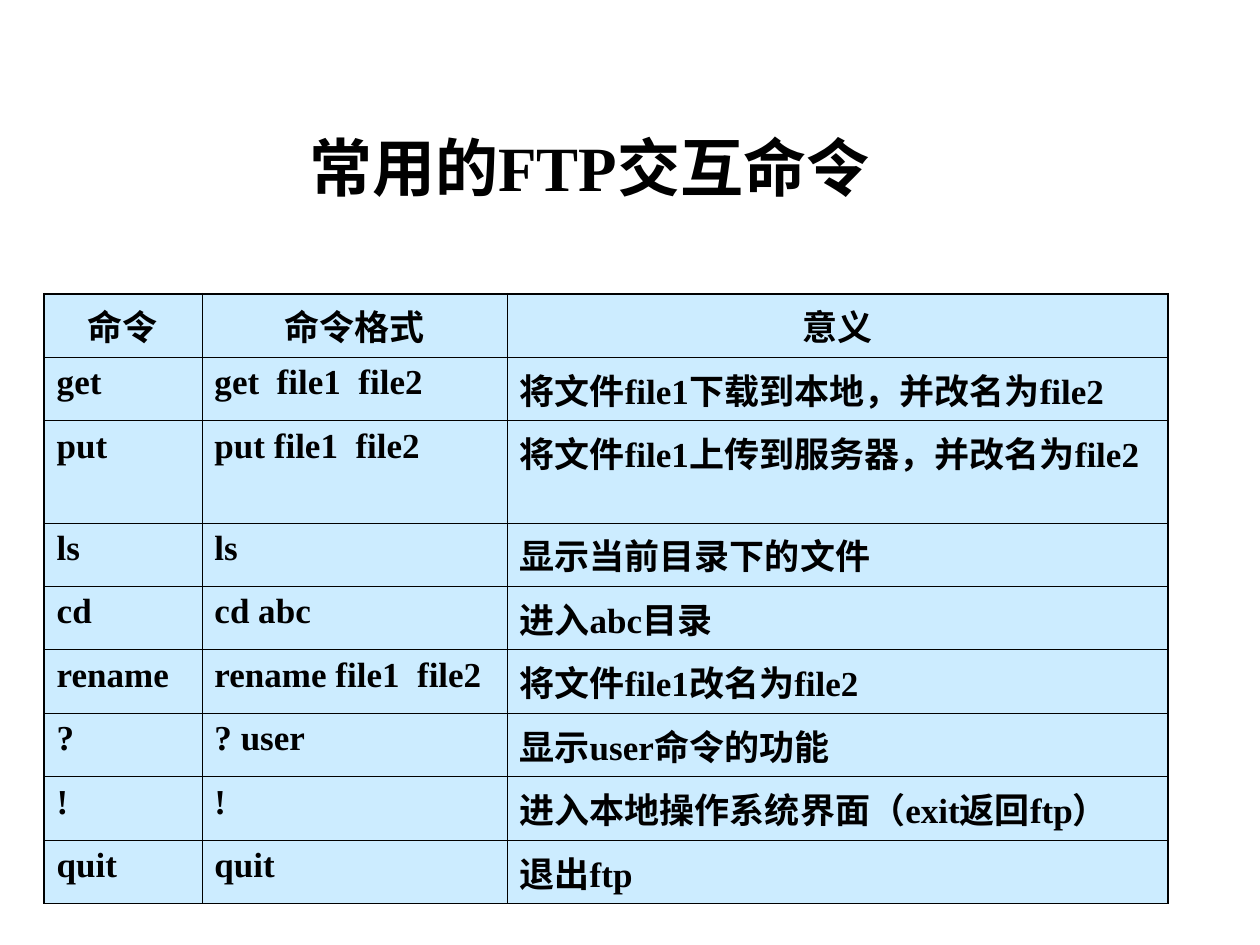
from pptx import Presentation
from pptx.dml.color import RGBColor
from pptx.enum import text
from pptx.oxml import parse_xml
from pptx.oxml.ns import nsdecls
from pptx.util import Cm, Pt

COLORS = {"ink": "000000", "cell": "CCECFF"}
TITLE = "常用的FTP交互命令"
HEADER = ("命令", "命令格式", "意义")
COMMANDS = [
    ("get", "get  file1  file2", "将文件file1下载到本地，并改名为file2"),
    ("put", "put file1  file2", "将文件file1上传到服务器，并改名为file2"),
    ("ls", "ls", "显示当前目录下的文件"),
    ("cd", "cd abc", "进入abc目录"),
    ("rename", "rename file1  file2", "将文件file1改名为file2"),
    ("?", "? user", "显示user命令的功能"),
    ("!", "!", "进入本地操作系统界面（exit返回ftp）"),
    ("quit", "quit", "退出ftp"),
]
COL_WIDTHS = (3.18, 6.15, 13.33)
ROW_HEIGHTS = (1.1, 1.12, 1.96) + (1.12,) * 6
INNER, OUTER = 0.45, 1.08
TITLE_FONT = {"name": "Times New Roman", "size": Pt(36), "bold": True}
HEADER_FONT = {"name": "Arial", "size": Pt(20), "bold": True}
BODY_FONT = {**HEADER_FONT, "name": "Times New Roman"}


def write(tf, words, font, align):
    p = tf.paragraphs[0]
    p.alignment = align
    r = p.add_run()
    r.text = words
    for key, value in font.items():
        setattr(r.font, key, value)
    r.font.color.rgb = RGBColor.from_string(COLORS["ink"])


def add_borders(cell, widths):
    tc_pr = cell._tc.get_or_add_tcPr()
    for i, (side, width) in enumerate(widths.items()):
        tc_pr.insert(i, parse_xml(
            f'<a:ln{side} {nsdecls("a")} w="{Pt(width)}"><a:solidFill>'
            f'<a:srgbClr val="{COLORS["ink"]}"/></a:solidFill></a:ln{side}>'))


def add_title(s):
    sp = s.shapes.title
    box = {"left": Cm(1.09), "top": Cm(2.51), "width": Cm(21.59), "height": Cm(1.7)}
    for key, value in box.items():
        setattr(sp, key, value)
    tf = sp.text_frame
    tf.word_wrap = True
    tf.auto_size = text.MSO_AUTO_SIZE.NONE
    tf.vertical_anchor = text.MSO_ANCHOR.MIDDLE
    write(tf, TITLE, TITLE_FONT, text.PP_ALIGN.CENTER)


def add_command_table(s):
    rows = [HEADER] + COMMANDS
    last_row, last_col = len(rows) - 1, len(HEADER) - 1
    table = s.shapes.add_table(
        len(rows), len(HEADER), Cm(0.89), Cm(5.92),
        Cm(sum(COL_WIDTHS)), Cm(sum(ROW_HEIGHTS))).table
    for col, width in zip(table.columns, COL_WIDTHS):
        col.width = Cm(width)
    for row, height in zip(table.rows, ROW_HEIGHTS):
        row.height = Cm(height)
    for i, row in enumerate(rows):
        font = BODY_FONT if i else HEADER_FONT
        align = text.PP_ALIGN.LEFT if i else text.PP_ALIGN.CENTER
        for j, words in enumerate(row):
            cell = table.cell(i, j)
            cell.fill.solid()
            cell.fill.fore_color.rgb = RGBColor.from_string(COLORS["cell"])
            write(cell.text_frame, words, font, align)
            edges = {"L": j == 0, "R": j == last_col, "T": i == 0, "B": i == last_row}
            add_borders(cell, {k: OUTER if edge else INNER for k, edge in edges.items()})
    table.cell(1, 0).text_frame.paragraphs[0].alignment = text.PP_ALIGN.JUSTIFY


def main():
    prs = Presentation()
    prs.slide_width, prs.slide_height = Cm(25.4), Cm(19.05)
    s = prs.slides.add_slide(prs.slide_layouts[5])
    add_title(s)
    add_command_table(s)
    prs.save("out.pptx")


if __name__ == "__main__":
    main()
